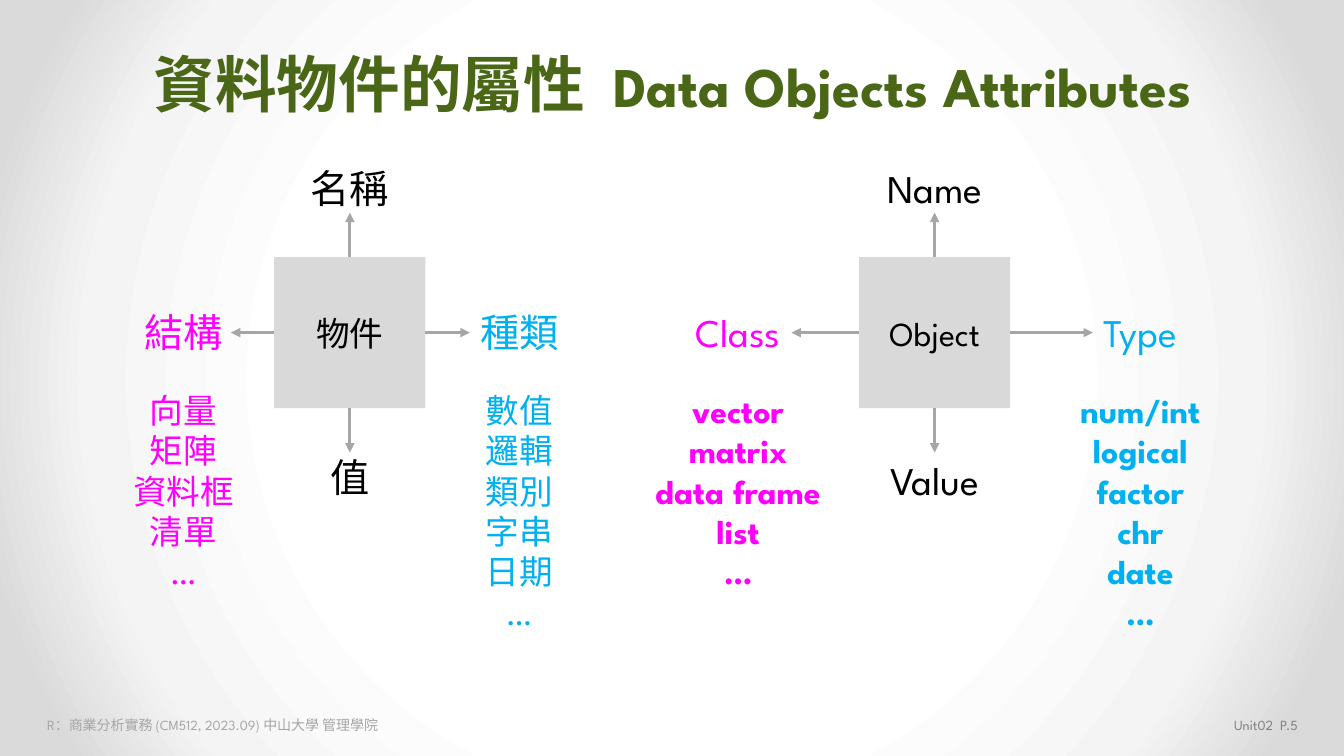
from lxml import etree
from pptx import Presentation
from pptx.dml.color import RGBColor
from pptx.enum import shapes, text
from pptx.oxml import ns, parse_xml
from pptx.util import Inches, Pt

GREEN = RGBColor(0x4A, 0x67, 0x17)
BLACK = RGBColor(0, 0, 0)
PINK = RGBColor(0xFF, 0, 0xFF)
BLUE = RGBColor(0, 0xB0, 0xF0)
PALE = RGBColor(0xD9, 0xD9, 0xD9)
SILVER = RGBColor(0xA6, 0xA6, 0xA6)
GREY = RGBColor(0x80, 0x80, 0x80)
LATIN = "League Spartan"
ALIGN = text.PP_ALIGN
STOPS = [(50, "FFFFFF"), (76, "F4F4F4"), (92, "DADADA")]


def style(para, size, color, font, bold=False, align=ALIGN.CENTER):
    para.alignment = align
    para.font.size = Pt(size)
    para.font.color.rgb = color
    para.font.name = font
    para.font.bold = bold


def label(slide, box, lines, size, color, font, bold=False, align=ALIGN.CENTER):
    frame = slide.shapes.add_textbox(*map(Inches, box)).text_frame
    frame.word_wrap = False
    frame.auto_size = text.MSO_AUTO_SIZE.SHAPE_TO_FIT_TEXT
    frame.text = "\n".join(lines)
    for para in frame.paragraphs:
        style(para, size, color, font, bold, align)


def arrow(slide, start, end):
    line = slide.shapes.add_connector(
        shapes.MSO_CONNECTOR.STRAIGHT, *map(Inches, start + end))
    line.line.color.rgb = SILVER
    line.line.width = Pt(2.25)
    etree.SubElement(line.line._get_or_add_ln(), ns.qn("a:tailEnd"), type="triangle")
    etree.SubElement(line._element.spPr, ns.qn("a:effectLst"))


def backdrop(slide):
    fill = slide.background.fill
    fill.solid()
    old = slide._element.cSld.find(".//" + ns.qn("a:solidFill"))
    stops = "".join(
        f'<a:gs pos="{pos * 1000}"><a:srgbClr val="{color}"/></a:gs>'
        for pos, color in STOPS)
    grad = parse_xml(
        f'<a:gradFill {ns.nsdecls("a")} rotWithShape="1"><a:gsLst>{stops}</a:gsLst>'
        '<a:path path="circle"><a:fillToRect l="50000" t="50000" r="50000" b="50000"/>'
        '</a:path></a:gradFill>')
    old.getparent().replace(old, grad)


def heading(slide, box):
    title = slide.shapes.title
    title.left, title.top, title.width, title.height = map(Inches, box)
    frame = title.text_frame
    frame.vertical_anchor = text.MSO_ANCHOR.MIDDLE
    para = frame.paragraphs[0]
    style(para, 44, GREEN, "Arial", True)
    para.add_run().text = "資料物件的屬性  "
    run = para.add_run()
    run.text = "Data Objects Attributes"
    run.font.name = LATIN
    run.font.size = Pt(40)


def footer(slide, box):
    left, top, width, height = box
    label(slide, (left, top, 4.3, height),
          ["R：商業分析實務 (CM512, 2023.09) 中山大學 管理學院"],
          10, SILVER, LATIN, align=ALIGN.LEFT)
    label(slide, (left + width - 2.94, top, 2.94, height),
          ["Unit02  P.5"], 10, GREY, LATIN, align=ALIGN.RIGHT)


def diagram(slide, box, font, bold, core, ends, sides):
    left, top, size = box
    mid, row, half = left + size / 2, top + size / 2, size / 2
    square = slide.shapes.add_shape(
        shapes.MSO_SHAPE.RECTANGLE, *map(Inches, (left, top, size, size)))
    square.shadow.inherit = False
    square.fill.solid()
    square.fill.fore_color.rgb = PALE
    square.line.fill.background()
    square.text_frame.text = core
    square.text_frame.vertical_anchor = text.MSO_ANCHOR.MIDDLE
    style(square.text_frame.paragraphs[0], 24, BLACK, font)

    for sign, (word, width, y) in zip((-1, 1), ends):
        label(slide, (mid - width / 2, y, width, 0.57), [word], 28, BLACK, font)
        arrow(slide, (mid, row + sign * half), (mid, row + sign * 1.19))

    for sign, color, side in zip((-1, 1), (PINK, BLUE), sides):
        word, width, shift, tip, items, span = side
        x = mid + sign * shift
        label(slide, (x - width / 2, row - 0.29, width, 0.57), [word], 28, color, font)
        arrow(slide, (mid + sign * half, row), (mid + sign * tip, row))
        tall = 0.1 + 0.4 * len(items)
        label(slide, (x - span / 2, row + 0.52, span, tall),
              items, 24, color, LATIN, bold)


def main():
    deck = Presentation()
    deck.slide_width, deck.slide_height = Inches(13.33), Inches(7.5)
    slide = deck.slides.add_slide(deck.slide_layouts[5])
    backdrop(slide)
    footer(slide, (0.37, 7.06, 12.6, 0.27))
    heading(slide, (0.45, 0.29, 12.44, 1.07))
    diagram(slide, (2.72, 2.55, 1.5), "Arial", False, "物件",
            [("名稱", 0.99, 1.58), ("值", 0.59, 4.45)],
            [("結構", 0.99, 1.65, 1.18,
              ["向量", "矩陣", "資料框", "清單", "…"], 1.21),
             ("種類", 0.99, 1.68, 1.19,
              ["數值", "邏輯", "類別", "字串", "日期", "…"], 0.88)])
    diagram(slide, (8.52, 2.55, 1.5), LATIN, True, "Object",
            [("Name", 1.32, 1.58), ("Value", 1.26, 4.48)],
            [("Class", 1.26, 1.95, 1.42,
              ["vector", "matrix", "data frame", "list", "…"], 1.96),
             ("Type", 1.12, 2.04, 1.57,
              ["num/int", "logical", "factor", "chr", "date", "…"], 1.41)])
    deck.save("out.pptx")


if __name__ == "__main__":
    main()
